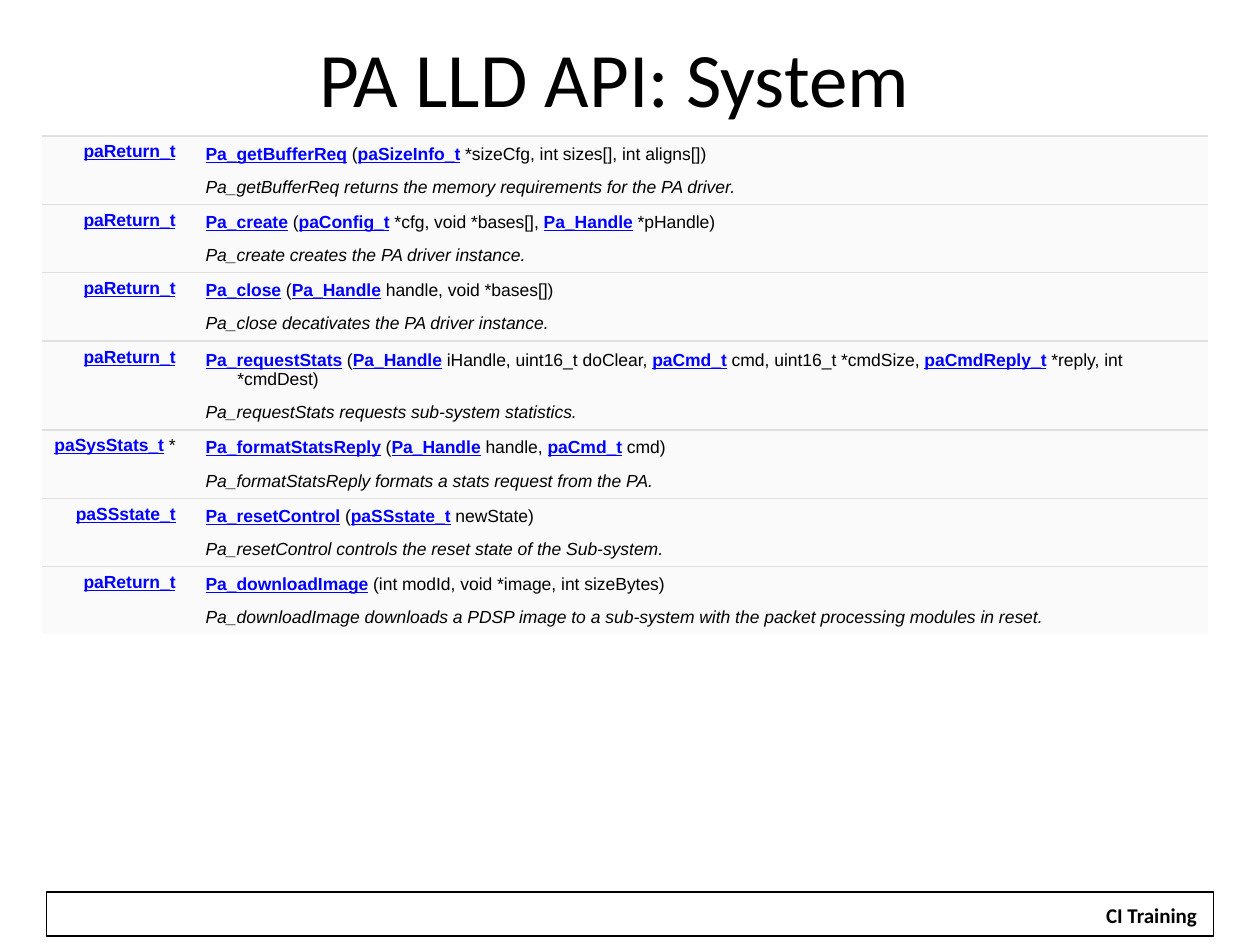
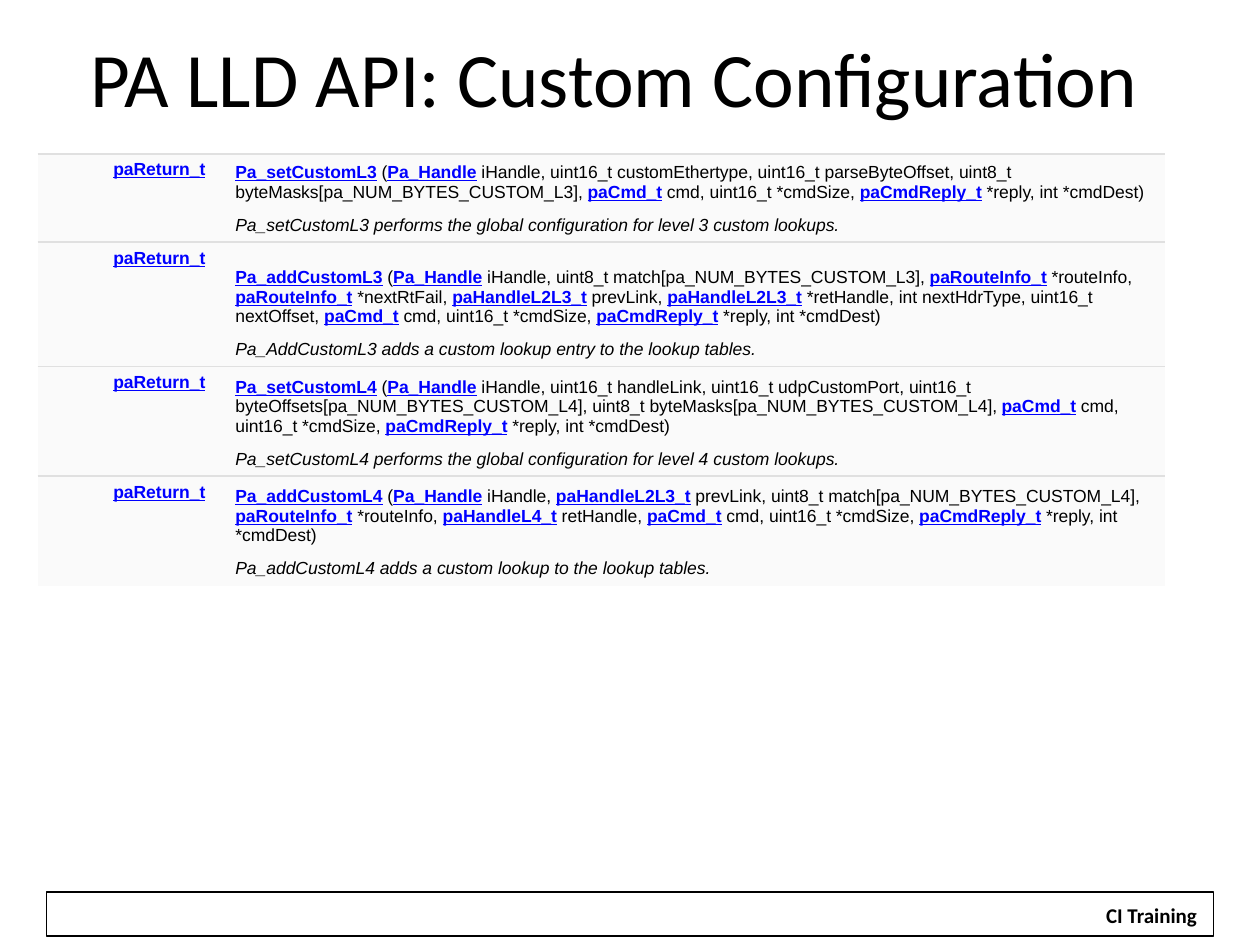
import lxml.etree
import pptx
import pptx.dml.color
import pptx.enum.shapes
import pptx.enum.text
import pptx.oxml.ns
import pptx.util

Cm = pptx.util.Cm
Pt = pptx.util.Pt
qn = pptx.oxml.ns.qn
ALIGN = pptx.enum.text.PP_ALIGN
ANCHOR = pptx.enum.text.MSO_ANCHOR
RECTANGLE = pptx.enum.shapes.MSO_SHAPE.RECTANGLE

BLACK = "000000"
WHITE = "FFFFFF"
LINK_BLUE = "0000FF"
CELL_GREY = "FAFAFA"
RULE_GREY = "E0E0E0"
NO_STYLE = "{2D5ABB26-0587-4C30-8999-92F81FD0307C}"


def color(hex_string):
    return pptx.dml.color.RGBColor.from_string(hex_string)


def add_rule(cell, side):
    line = lxml.etree.Element(qn(f"a:{side}"), w=str(Pt(1)))
    fill = lxml.etree.SubElement(line, qn("a:solidFill"))
    lxml.etree.SubElement(fill, qn("a:srgbClr"), val=RULE_GREY)
    cell._tc.get_or_add_tcPr().insert(0, line)


system_functions = [
    ("|paReturn_t|\u00a0",
     "|Pa_getBufferReq| (|paSizeInfo_t| *sizeCfg, int sizes[], int aligns[])",
     "Pa_getBufferReq returns the memory requirements for the PA driver."),
    ("|paReturn_t|\u00a0",
     "|Pa_create| (|paConfig_t| *cfg, void *bases[], |Pa_Handle| *pHandle)",
     "Pa_create creates the PA driver instance."),
    ("|paReturn_t|\u00a0",
     "|Pa_close| (|Pa_Handle| handle, void *bases[])",
     "Pa_close decativates the PA driver instance."),
    ("|paReturn_t|\u00a0",
     "|Pa_requestStats| (|Pa_Handle| iHandle, uint16_t doClear, |paCmd_t| cmd, "
     "uint16_t *cmdSize, |paCmdReply_t| *reply, int *cmdDest)",
     "Pa_requestStats requests sub-system statistics."),
    ("|paSysStats_t| *\u00a0",
     "|Pa_formatStatsReply| (|Pa_Handle| handle, |paCmd_t| cmd)",
     "Pa_formatStatsReply formats a stats request from the PA."),
    ("|paSSstate_t|\u00a0",
     "|Pa_resetControl| (|paSSstate_t| newState)",
     "Pa_resetControl controls the reset state of the Sub-system."),
    ("|paReturn_t|\u00a0",
     "|Pa_downloadImage| (int modId, void *image, int sizeBytes)",
     "Pa_downloadImage downloads a PDSP image to a sub-system with the packet "
     "processing modules in reset."),
]

custom_functions = [
    ("|paReturn_t|\u00a0",
     "|Pa_setCustomL3| (|Pa_Handle| iHandle, uint16_t customEthertype, "
     "uint16_t parseByteOffset, uint8_t byteMasks[pa_NUM_BYTES_CUSTOM_L3], "
     "|paCmd_t| cmd, uint16_t *cmdSize, |paCmdReply_t| *reply, int *cmdDest)",
     "Pa_setCustomL3 performs the global configuration for level 3 custom lookups."),
    ("|paReturn_t|\u00a0",
     "|Pa_addCustomL3| (|Pa_Handle| iHandle, uint8_t match[pa_NUM_BYTES_CUSTOM_L3], "
     "|paRouteInfo_t| *routeInfo, |paRouteInfo_t| *nextRtFail, "
     "|paHandleL2L3_t| prevLink, |paHandleL2L3_t| *retHandle, int nextHdrType, "
     "uint16_t nextOffset, |paCmd_t| cmd, uint16_t *cmdSize, "
     "|paCmdReply_t| *reply, int *cmdDest)",
     "Pa_AddCustomL3 adds a custom lookup entry to the lookup tables."),
    ("|paReturn_t|\u00a0",
     "|Pa_setCustomL4| (|Pa_Handle| iHandle, uint16_t handleLink, "
     "uint16_t udpCustomPort, uint16_t byteOffsets[pa_NUM_BYTES_CUSTOM_L4], "
     "uint8_t byteMasks[pa_NUM_BYTES_CUSTOM_L4], |paCmd_t| cmd, "
     "uint16_t *cmdSize, |paCmdReply_t| *reply, int *cmdDest)",
     "Pa_setCustomL4 performs the global configuration for level 4 custom lookups."),
    ("|paReturn_t|\u00a0",
     "|Pa_addCustomL4| (|Pa_Handle| iHandle, |paHandleL2L3_t| prevLink, "
     "uint8_t match[pa_NUM_BYTES_CUSTOM_L4], |paRouteInfo_t| *routeInfo, "
     "|paHandleL4_t| retHandle, |paCmd_t| cmd, uint16_t *cmdSize, "
     "|paCmdReply_t| *reply, int *cmdDest)",
     "Pa_addCustomL4 adds a custom lookup to the lookup tables."),
]

pages = [
    {"title": "PA LLD API: System", "functions": system_functions,
     "left": 0.84, "top": 2.74, "columns": [3.05, 20.47],
     "rows": [0.69] * 13 + [0.51], "indent": 0.64},
    {"title": "PA LLD API: Custom Configuration", "functions": custom_functions,
     "left": 0.76, "top": 3.1, "columns": [3.73, 19],
     "rows": [1.02, 0.64, 1.83, 0.64, 1.5, 0.64, 1.17, 0.64], "indent": 0},
]

presentation = pptx.Presentation()
presentation.slide_width = Cm(25.4)
presentation.slide_height = Cm(19.05)

for page in pages:
    slide = presentation.slides.add_slide(presentation.slide_layouts[6])

    footer_frame = slide.shapes.add_shape(RECTANGLE, Cm(0.94), Cm(17.98), Cm(23.52), Cm(0.89))
    footer_frame.shadow.inherit = False
    footer_frame.fill.background()
    footer_frame.line.color.rgb = color(BLACK)
    footer_frame.line.width = Pt(0.75)

    footer = slide.shapes.add_textbox(Cm(22.02), Cm(18.06), Cm(2.39), Cm(0.76))
    footer.fill.solid()
    footer.fill.fore_color.rgb = color(WHITE)
    footer.text_frame.text = "CI Training"
    footer.text_frame.word_wrap = False
    footer.text_frame.auto_size = pptx.enum.text.MSO_AUTO_SIZE.SHAPE_TO_FIT_TEXT

    title = slide.shapes.add_textbox(Cm(0.64), Cm(0.41), Cm(23.5), Cm(2.26))
    title.text_frame.text = page["title"]
    title.text_frame.word_wrap = True
    title.text_frame.vertical_anchor = ANCHOR.MIDDLE

    for shape, size, bold in ((footer, 12, True), (title, 44, False)):
        paragraph = shape.text_frame.paragraphs[0]
        paragraph.alignment = ALIGN.CENTER
        font = paragraph.runs[0].font
        font.name = "Calibri"
        font.size = Pt(size)
        font.bold = bold
        font.color.rgb = color(BLACK)

    columns, rows = page["columns"], page["rows"]
    table = slide.shapes.add_table(
        len(rows), len(columns), Cm(page["left"]), Cm(page["top"]),
        Cm(sum(columns)), Cm(sum(rows))).table
    table.first_row = False
    table.horz_banding = False
    table._tbl.tblPr.find(qn("a:tableStyleId")).text = NO_STYLE
    for column, width in zip(table.columns, columns):
        column.width = Cm(width)
    for row, height in zip(table.rows, rows):
        row.height = Cm(height)

    for index, (return_type, signature, description) in enumerate(page["functions"]):
        entries = [
            (0, 0, return_type, ANCHOR.TOP),
            (0, 1, signature, ANCHOR.BOTTOM),
            (1, 0, "", ANCHOR.TOP),
            (1, 1, description, ANCHOR.MIDDLE),
        ]
        for offset, column_index, text, anchor in entries:
            row_index = 2 * index + offset
            cell = table.cell(row_index, column_index)
            cell.vertical_anchor = anchor
            cell.fill.solid()
            cell.fill.fore_color.rgb = color(CELL_GREY)
            if row_index == 0:
                add_rule(cell, "lnT")
            if offset == 1 and row_index < len(rows) - 1:
                add_rule(cell, "lnB")

            paragraph = cell.text_frame.paragraphs[0]
            if not text:
                lxml.etree.SubElement(paragraph._p, qn("a:endParaRPr"), sz="1000")
                continue
            paragraph.alignment = ALIGN.LEFT if column_index else ALIGN.RIGHT
            if page["indent"]:
                properties = paragraph._p.get_or_add_pPr()
                properties.set("marL", str(Cm(page["indent"])))
                properties.set("indent", str(-Cm(page["indent"])))
            for part_index, part in enumerate(text.split("|")):
                if not part:
                    continue
                is_link = part_index % 2 == 1
                run = paragraph.add_run()
                run.text = part
                run.font.name = "Arial"
                run.font.size = Pt(10)
                run.font.bold = is_link
                run.font.underline = is_link
                run.font.italic = offset == 1
                run.font.color.rgb = color(LINK_BLUE if is_link else BLACK)

presentation.save("out.pptx")
